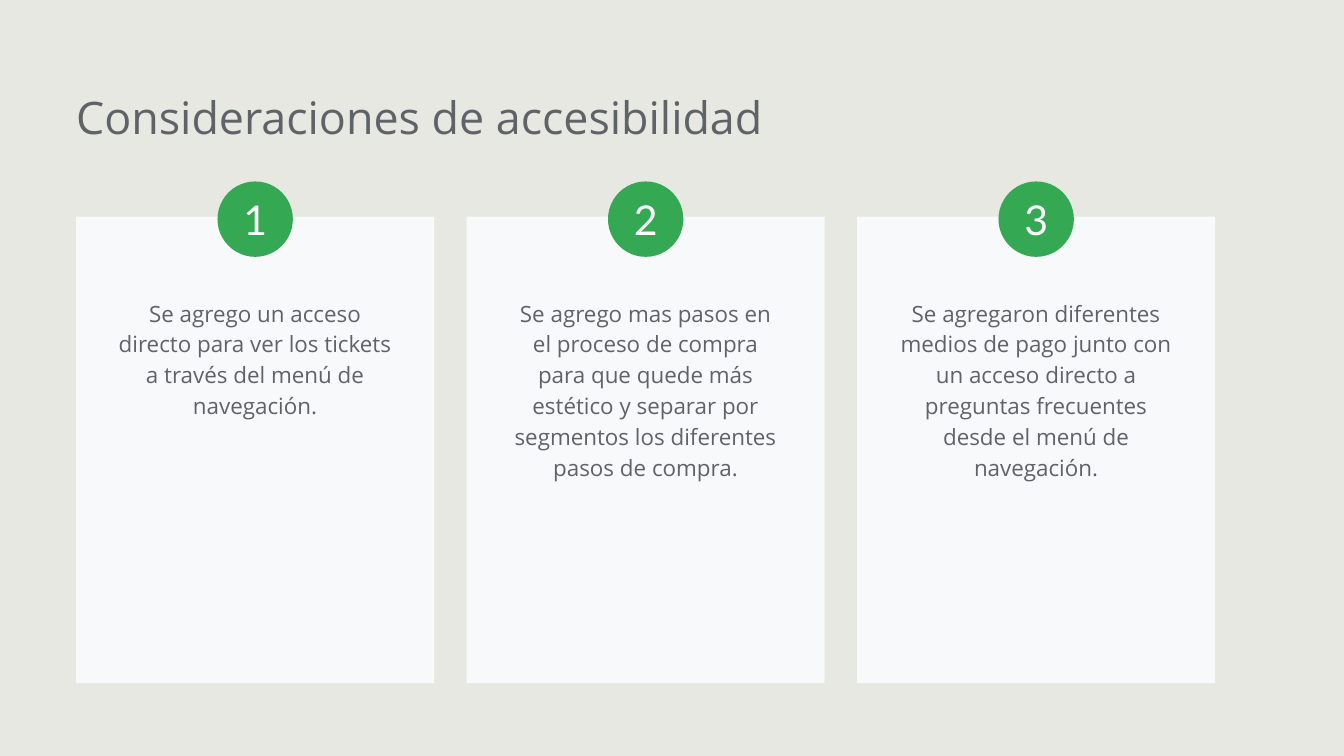
import pptx
import pptx.util
from dataclasses import dataclass
from pptx.dml.color import RGBColor
from pptx.enum.shapes import MSO_SHAPE
from pptx.enum.text import MSO_ANCHOR, MSO_AUTO_SIZE, PP_ALIGN

Pt = pptx.util.Pt


@dataclass(frozen=True)
class Theme:
    background: str = "E7E8E2"
    card: str = "F8F9FA"
    accent: str = "34A853"
    ink: str = "5F6368"
    on_accent: str = "FFFFFF"
    text_font: str = "Open Sans"
    number_font: str = "Lato"
    title_size: float = 24
    number_size: float = 22
    body_size: float = 12


theme = Theme()


def write(shape, text, *, size, font=theme.text_font, color=theme.ink,
          align=PP_ALIGN.LEFT, anchor=MSO_ANCHOR.TOP, spacing=None,
          margins=(7.2, 7.2, 7.2, 7.2), grow=False):
    """Put one formatted paragraph in a shape; margins run left, top, right, bottom."""
    frame = shape.text_frame
    frame.word_wrap = True
    frame.auto_size = MSO_AUTO_SIZE.SHAPE_TO_FIT_TEXT if grow else MSO_AUTO_SIZE.NONE
    frame.vertical_anchor = anchor
    (frame.margin_left, frame.margin_top,
     frame.margin_right, frame.margin_bottom) = map(Pt, margins)
    paragraph = frame.paragraphs[0]
    paragraph.alignment = align
    if spacing:
        paragraph.line_spacing = spacing
    run = paragraph.add_run()
    run.text = text
    run.font.name = font
    run.font.size = Pt(size)
    run.font.color.rgb = RGBColor.from_string(color)


def add_filled(kind, left, top, width, height, color):
    shape = slide.shapes.add_shape(kind, Pt(left), Pt(top), Pt(width), Pt(height))
    shape.shadow.inherit = False
    shape.fill.solid()
    shape.fill.fore_color.rgb = RGBColor.from_string(color)
    shape.line.fill.background()
    return shape


deck = pptx.Presentation()
deck.slide_width, deck.slide_height = Pt(720), Pt(405)
slide = deck.slides.add_slide(deck.slide_layouts[6])
slide.background.fill.solid()
slide.background.fill.fore_color.rgb = RGBColor.from_string(theme.background)

margin_left = 40.8
title = slide.shapes.add_textbox(Pt(margin_left), Pt(41), Pt(551.5), Pt(44))
write(title, "Consideraciones de accesibilidad", size=theme.title_size,
      margins=(0, 7.2, 7.2, 7.2), grow=True)

# Each consideration: its text and the height of its text box
considerations = [
    ("Se agrego un acceso directo para ver los tickets a través del menú de "
     "navegación.", 81.4),
    ("Se agrego mas pasos en el proceso de compra para que quede más estético y "
     "separar por segmentos los diferentes pasos de compra.", 115.2),
    ("Se agregaron diferentes medios de pago junto con un acceso directo a "
     "preguntas frecuentes desde el menú de navegación.", 115.2),
]
card_top, card_width, card_height = 116, 191.8, 250
card_pitch = 209.2
body_width = 161.3
badge_size = 40.4

for number, (consideration, body_height) in enumerate(considerations, start=1):
    card_left = margin_left + (number - 1) * card_pitch
    center = card_left + card_width / 2

    add_filled(MSO_SHAPE.RECTANGLE, card_left, card_top, card_width, card_height,
               theme.card)

    body = slide.shapes.add_textbox(Pt(center - body_width / 2), Pt(151.2),
                                    Pt(body_width), Pt(body_height))
    write(body, consideration, size=theme.body_size, align=PP_ALIGN.CENTER,
          spacing=1.15, grow=True)

    badge = add_filled(MSO_SHAPE.OVAL, center - badge_size / 2, 97.2,
                       badge_size, badge_size, theme.accent)
    write(badge, str(number), size=theme.number_size, font=theme.number_font,
          color=theme.on_accent, align=PP_ALIGN.CENTER, anchor=MSO_ANCHOR.MIDDLE,
          margins=(0, 0, 0, 0))

deck.save("out.pptx")
